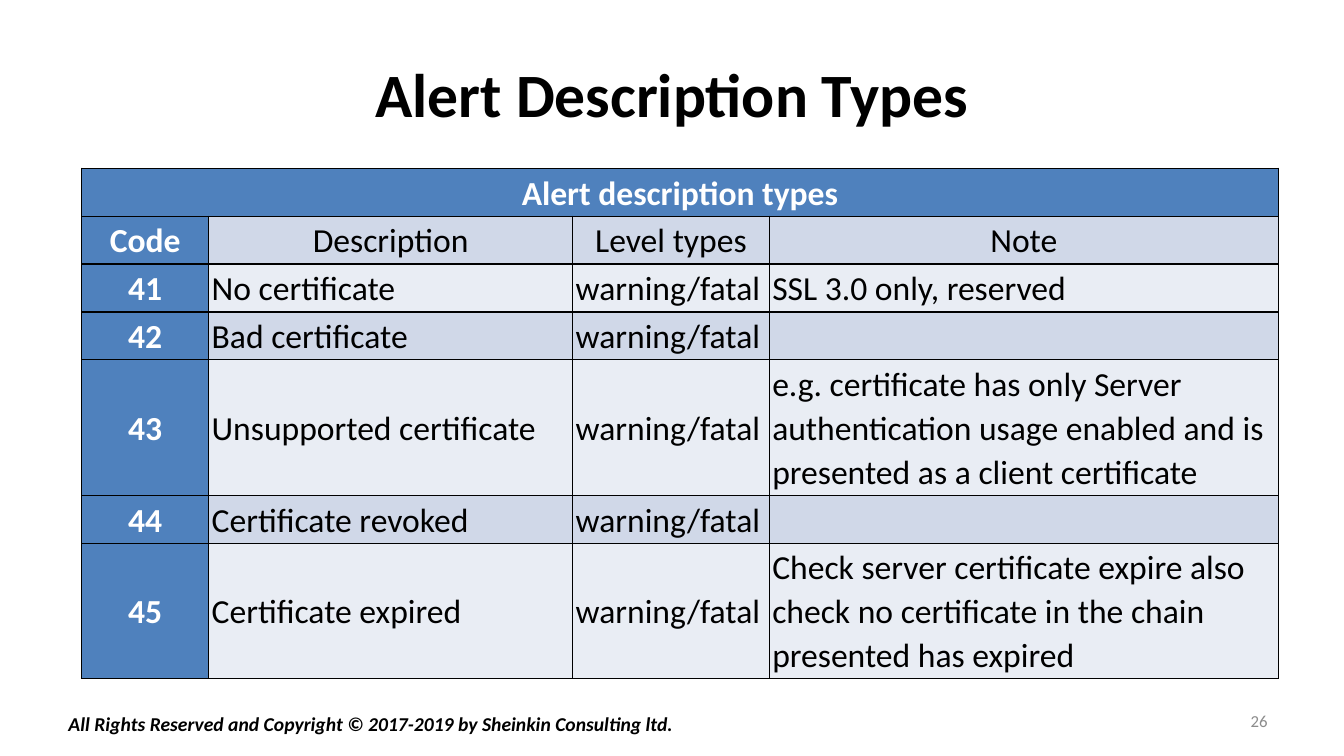
from dataclasses import dataclass

from lxml import etree
from pptx import Presentation
from pptx.dml.color import RGBColor
from pptx.enum.text import MSO_ANCHOR as ANCHOR, PP_ALIGN as ALIGN
from pptx.oxml.ns import qn
from pptx.util import Inches, Pt


@dataclass(frozen=True)
class Theme:
    font: str = "Calibri"
    black: str = "000000"
    white: str = "FFFFFF"
    grey: str = "8C8C8C"
    accent: str = "4F81BD"
    band_dark: str = "D0D8E8"
    band_light: str = "E9EDF4"
    title_size: int = 44
    table_size: int = 24
    footer_size: int = 14
    number_size: int = 12


THEME = Theme()

TABLE_TITLE = "Alert description types"
HEADINGS = ("Code", "Description", "Level types", "Note")
LEVEL = "warning/fatal"
ALERTS = (
    ("41", "No certificate", LEVEL, "SSL 3.0 only, reserved"),
    ("42", "Bad certificate", LEVEL, ""),
    ("43", "Unsupported certificate", LEVEL,
     "e.g. certificate has only Server authentication usage enabled "
     "and is presented as a client certificate"),
    ("44", "Certificate revoked", LEVEL, ""),
    ("45", "Certificate expired", LEVEL,
     "Check server certificate expire also check no certificate "
     "in the chain presented has expired"),
)
COLUMN_WIDTHS = (1.26, 3.61, 1.95, 5.05)
ROW_HEIGHT, TALL_ROW_HEIGHT = 0.46, 1.33
LONG_NOTE = 40  # notes with more letters than this take three lines


def write(tf, text, size, color=THEME.black, bold=False, italic=False,
          align=ALIGN.LEFT, line_spacing=None):
    p = tf.paragraphs[0]
    p.alignment = align
    p.line_spacing = line_spacing
    r = p.add_run()
    r.text = text
    font = r.font
    font.name, font.size = THEME.font, Pt(size)
    font.bold, font.italic = bold, italic
    font.color.rgb = RGBColor.from_string(color)


def add_title(s, text):
    sp = s.shapes.title
    sp.left, sp.top = Inches(0.67), Inches(0.3)
    sp.width, sp.height = Inches(12), Inches(1.25)
    sp.text_frame.vertical_anchor = ANCHOR.MIDDLE
    write(sp.text_frame, text, THEME.title_size, bold=True, align=ALIGN.CENTER)


def add_label(s, text, left, top, width, height, anchor=ANCHOR.TOP, **style):
    sp = s.shapes.add_textbox(Inches(left), Inches(top), Inches(width), Inches(height))
    tf = sp.text_frame
    tf.word_wrap = True
    tf.vertical_anchor = anchor
    write(tf, text, **style)


def add_borders(cell, color=THEME.black, width=1):
    tc_pr = cell._tc.get_or_add_tcPr()
    for side in ("lnL", "lnR", "lnT", "lnB"):
        ln = etree.SubElement(tc_pr, qn(f"a:{side}"), w=str(Pt(width)))
        fill = etree.SubElement(ln, qn("a:solidFill"))
        etree.SubElement(fill, qn("a:srgbClr"), val=color)


def format_cell(cell, text, fill, **style):
    add_borders(cell)
    cell.fill.solid()
    cell.fill.fore_color.rgb = RGBColor.from_string(fill)
    cell.margin_left = cell.margin_right = Inches(0.03)
    cell.margin_top = cell.margin_bottom = Inches(0.02)
    cell.vertical_anchor = ANCHOR.MIDDLE
    if text:
        write(cell.text_frame, text, THEME.table_size, line_spacing=1.07, **style)


def add_alert_table(s):
    rows = ((TABLE_TITLE, "", "", ""), HEADINGS) + ALERTS
    heights = [TALL_ROW_HEIGHT if len(row[-1]) > LONG_NOTE else ROW_HEIGHT
               for row in rows]
    table = s.shapes.add_table(
        len(rows), len(COLUMN_WIDTHS), Inches(0.81), Inches(1.67),
        Inches(sum(COLUMN_WIDTHS)), Inches(sum(heights))).table
    table.first_col = True
    for column, width in zip(table.columns, COLUMN_WIDTHS):
        column.width = Inches(width)
    table.cell(0, 0).merge(table.cell(0, len(COLUMN_WIDTHS) - 1))

    for i, row in enumerate(rows):
        table.rows[i].height = Inches(heights[i])
        band = THEME.band_dark if i % 2 else THEME.band_light
        for j, text in enumerate(row):
            strong = i == 0 or j == 0
            format_cell(
                table.cell(i, j), text,
                fill=THEME.accent if strong else band,
                color=THEME.white if strong else THEME.black,
                bold=strong,
                align=ALIGN.CENTER if strong or i == 1 else ALIGN.LEFT)


def main():
    prs = Presentation()
    prs.slide_width, prs.slide_height = Inches(13.33), Inches(7.5)
    s = prs.slides.add_slide(prs.slide_layouts.get_by_name("Title Only"))

    # Title and table
    add_title(s, "Alert Description Types")
    add_alert_table(s)

    # Copyright line and slide number
    add_label(s, "All Rights Reserved and Copyright © 2017-2019 by Sheinkin Consulting ltd.",
              0.58, 7.01, 8.71, 0.34, size=THEME.footer_size, bold=True, italic=True)
    add_label(s, "26", 9.56, 6.95, 3.11, 0.4, anchor=ANCHOR.MIDDLE,
              size=THEME.number_size, color=THEME.grey, align=ALIGN.RIGHT)

    prs.save("out.pptx")


if __name__ == "__main__":
    main()
